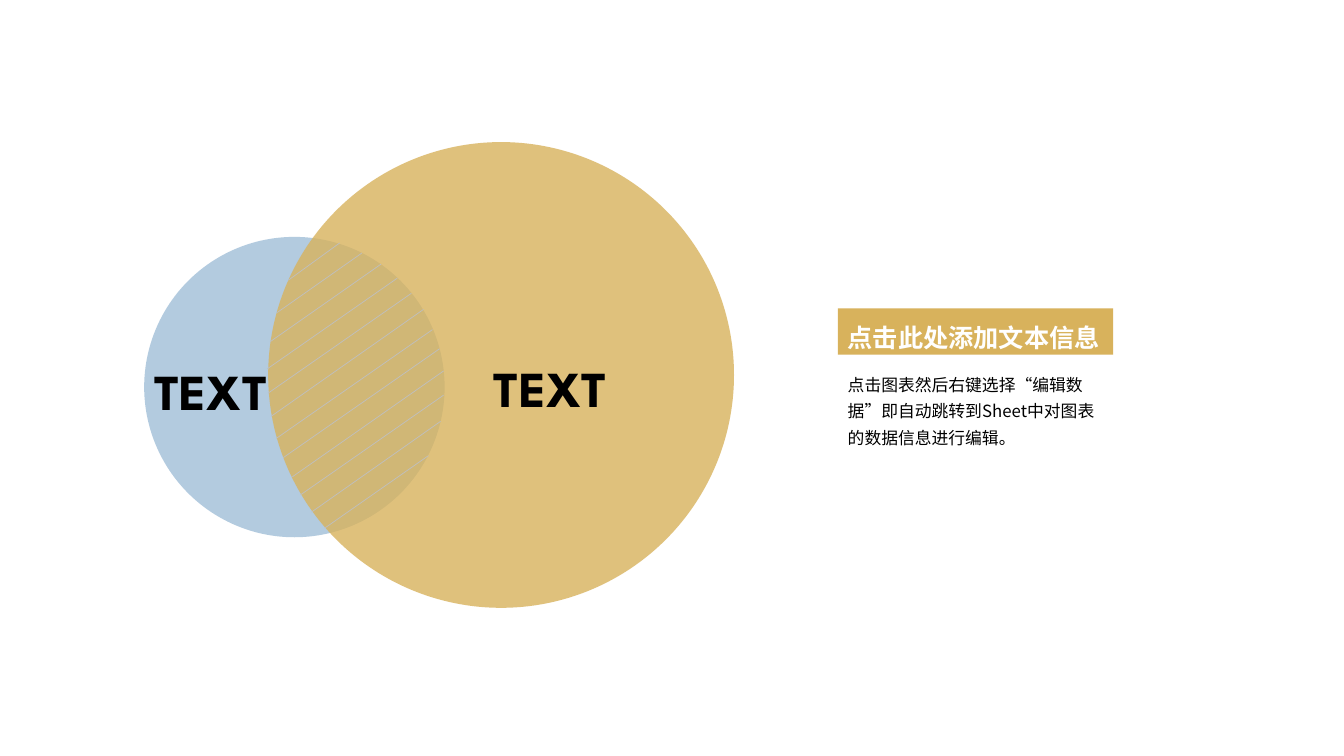
from lxml import etree
from pptx import Presentation
from pptx.dml.color import RGBColor
from pptx.enum.shapes import MSO_CONNECTOR, MSO_SHAPE
from pptx.enum.text import MSO_ANCHOR, PP_ALIGN
from pptx.oxml.ns import qn
from pptx.util import Inches, Pt

ELLIPSE, RECTANGLE = MSO_SHAPE.OVAL, MSO_SHAPE.RECTANGLE
STRAIGHT = MSO_CONNECTOR.STRAIGHT
TOP, LEFT = MSO_ANCHOR.TOP, PP_ALIGN.LEFT

GOLD = "D8B25C"
BLUE = "94B6D2"
LATIN_FONT = "League Spartan"
CHINESE_FONT = "Noto Sans CJK SC"


def color(hex_string):
    return RGBColor.from_string(hex_string)


def write_text(shape, text, size, font_name, hex_color, bold=False, spacing=1.0):
    """Fill a shape with one left-aligned paragraph in a single style."""
    frame = shape.text_frame
    frame.text = text
    frame.word_wrap = True
    frame.vertical_anchor = TOP
    paragraph = frame.paragraphs[0]
    paragraph.alignment = LEFT
    paragraph.line_spacing = spacing
    font = paragraph.runs[0].font
    font.size = Pt(size)
    font.bold = bold
    font.name = font_name
    font.color.rgb = color(hex_color)
    east_asian = etree.SubElement(paragraph.runs[0]._r.get_or_add_rPr(), qn("a:ea"))
    east_asian.set("typeface", font_name)


presentation = Presentation()
presentation.slide_width = Inches(13.33)
presentation.slide_height = Inches(7.5)
slide = presentation.slides.add_slide(presentation.slide_layouts[6])

# Overlapping circles: left, top, diameter, colour, opacity in percent
circles = [(1.43, 2.35, 2.98, BLUE, 70), (2.66, 1.41, 4.62, GOLD, 80)]
for left, top, diameter, fill_color, opacity in circles:
    circle = slide.shapes.add_shape(
        ELLIPSE, Inches(left), Inches(top), Inches(diameter), Inches(diameter))
    circle.shadow.inherit = False
    circle.fill.solid()
    circle.fill.fore_color.rgb = color(fill_color)
    circle.line.fill.background()
    rgb_element = circle.fill._xPr.find(".//" + qn("a:srgbClr"))
    etree.SubElement(rgb_element, qn("a:alpha")).set("val", str(opacity * 1000))

for left, top in [(4.8, 3.49), (1.43, 3.52)]:
    label = slide.shapes.add_textbox(
        Inches(left), Inches(top), Inches(1.36), Inches(0.71))
    write_text(label, "TEXT", 36, LATIN_FONT, "000000", bold=True)

# Hatching of the overlap: start x, start y, end x, end y
hatch_lines = [
    (3.37, 2.41, 2.86, 2.78), (3.59, 2.51, 2.75, 3.10),
    (3.78, 2.62, 2.68, 3.39), (3.94, 2.76, 2.65, 3.66),
    (4.08, 2.91, 2.66, 3.90), (4.20, 3.07, 2.69, 4.13),
    (4.29, 3.27, 2.74, 4.35), (4.36, 3.46, 2.81, 4.54),
    (4.40, 3.68, 2.90, 4.73), (4.40, 3.92, 2.98, 4.91),
    (4.37, 4.18, 3.09, 5.08), (4.25, 4.52, 3.22, 5.24),
]
hatching = slide.shapes.add_group_shape()
for ends in hatch_lines:
    hatch = hatching.shapes.add_connector(STRAIGHT, *[Inches(value) for value in ends])
    hatch.line.color.rgb = color("BFBFBF")
    hatch.line.width = Pt(0.5)
    etree.SubElement(hatch._element.spPr, qn("a:effectLst"))

description = slide.shapes.add_textbox(
    Inches(8.31), Inches(3.61), Inches(2.73), Inches(0.89))
write_text(
    description,
    "点击图表然后右键选择“编辑数据”即自动跳转到Sheet中对图表的数据信息进行编辑。",
    12, CHINESE_FONT, "000000", spacing=1.3)

heading = slide.shapes.add_shape(
    RECTANGLE, Inches(8.31), Inches(3.06), Inches(2.73), Inches(0.46))
heading.shadow.inherit = False
heading.fill.solid()
heading.fill.fore_color.rgb = color(GOLD)
heading.line.fill.background()
write_text(heading, "点击此处添加文本信息", 18, CHINESE_FONT, "FFFFFF",
           bold=True, spacing=1.3)
heading.text_frame.word_wrap = False

presentation.save("out.pptx")
